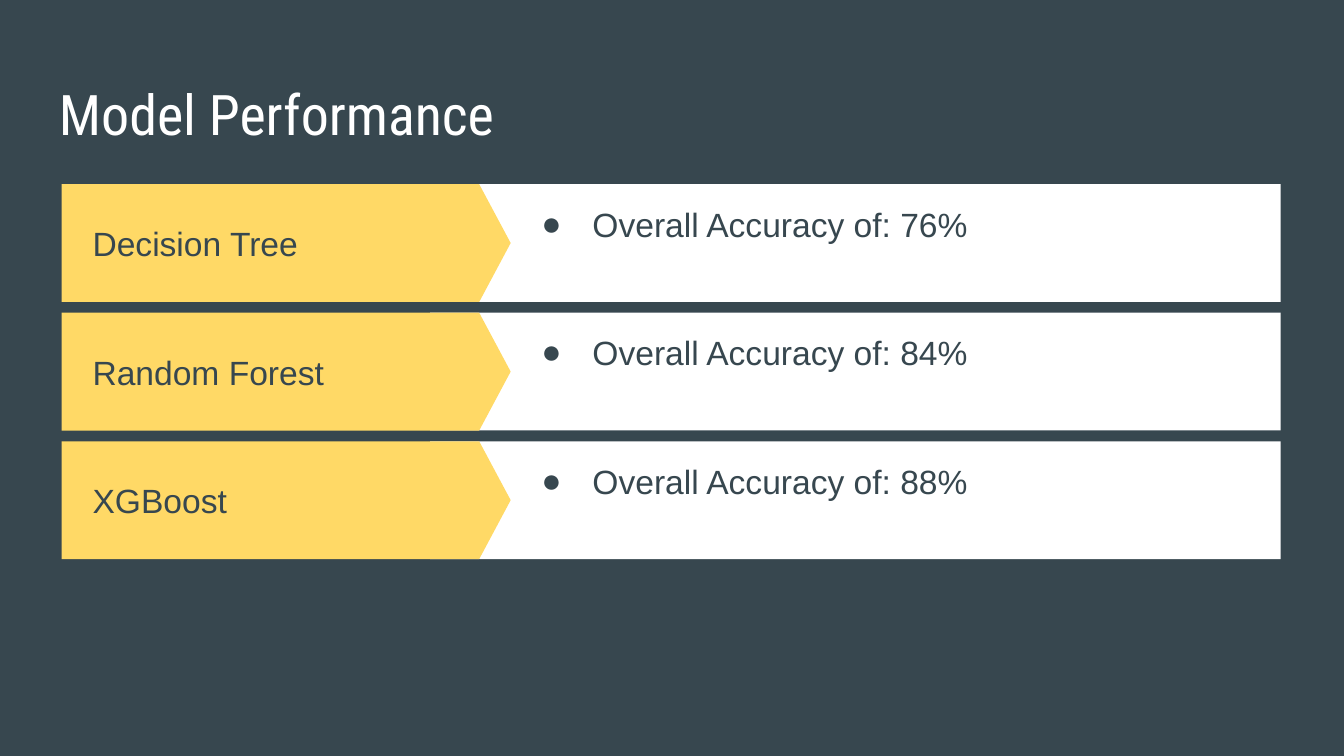
from lxml import etree
from pptx import Presentation
from pptx.dml.color import RGBColor
from pptx.enum.shapes import MSO_SHAPE
from pptx.enum.text import MSO_ANCHOR
from pptx.oxml.ns import qn
from pptx.util import Inches, Pt

RECTANGLE, PENTAGON = MSO_SHAPE.RECTANGLE, MSO_SHAPE.PENTAGON
TOP, MIDDLE = MSO_ANCHOR.TOP, MSO_ANCHOR.MIDDLE

COLORS = {"slate": "37474F", "yellow": "FFD966", "white": "FFFFFF"}
BODY_FONT, TITLE_FONT = "Arial", "Roboto Condensed"
MODELS = [("Decision Tree", "76%"), ("Random Forest", "84%"), ("XGBoost", "88%")]
ROW_GAP = 0.08


def add_band(slide, kind, box, color):
    band = slide.shapes.add_shape(kind, *map(Inches, box))
    band.shadow.inherit = False
    band.fill.solid()
    band.fill.fore_color.rgb = RGBColor.from_string(COLORS[color])
    band.line.fill.background()
    return band


def add_text(slide, box, text, size=18, font=BODY_FONT, color="slate", anchor=MIDDLE):
    """Add a one-paragraph text box and return the paragraph."""
    frame = slide.shapes.add_textbox(*map(Inches, box)).text_frame
    frame.word_wrap = True
    frame.vertical_anchor = anchor
    frame.margin_left = frame.margin_right = Inches(0.1)
    frame.margin_top = frame.margin_bottom = Inches(0.1)
    paragraph = frame.paragraphs[0]
    run = paragraph.add_run()
    run.text = text
    run.font.size = Pt(size)
    run.font.name = font
    run.font.color.rgb = RGBColor.from_string(COLORS[color])
    return paragraph


def add_bullet(paragraph):
    paragraph.line_spacing = 1.15
    properties = paragraph._p.get_or_add_pPr()
    properties.set("marL", str(Inches(0.5)))
    properties.set("indent", str(Inches(-0.38)))
    bullet_color = etree.SubElement(properties, qn("a:buClr"))
    etree.SubElement(bullet_color, qn("a:srgbClr"), val=COLORS["slate"])
    etree.SubElement(properties, qn("a:buFont"), typeface=BODY_FONT)
    etree.SubElement(properties, qn("a:buChar"), char="●")


def add_model_row(slide, box, model, accuracy):
    left, top, width, height = box
    add_band(slide, RECTANGLE, (left + 2.74, top, width - 2.74, height), "white")
    arrow = add_band(slide, PENTAGON, (left, top, 3.34, height), "yellow")
    arrow.adjustments[0] = 0.267
    add_text(slide, (left + 0.13, top, 2.65, height), model)
    result = add_text(slide, (left + 3.35, top, 5.59, height),
                      f"Overall Accuracy of: {accuracy}", anchor=TOP)
    add_bullet(result)


def add_model_rows(slide, box):
    left, top, width, height = box
    row_height = (height - ROW_GAP * (len(MODELS) - 1)) / len(MODELS)
    for index, (model, accuracy) in enumerate(MODELS):
        row_top = top + index * (row_height + ROW_GAP)
        add_model_row(slide, (left, row_top, width, row_height), model, accuracy)


def main():
    deck = Presentation()
    deck.slide_width = Inches(10)
    deck.slide_height = deck.slide_width * 9 // 16
    slide = deck.slides.add_slide(deck.slide_layouts[6])
    slide.background.fill.solid()
    slide.background.fill.fore_color.rgb = RGBColor.from_string(COLORS["slate"])
    add_text(slide, (0.34, 0.49, 9.32, 0.63), "Model Performance",
             30, TITLE_FONT, "white", TOP)
    add_model_rows(slide, (0.46, 1.37, 9.07, 2.79))
    deck.save("out.pptx")


if __name__ == "__main__":
    main()
